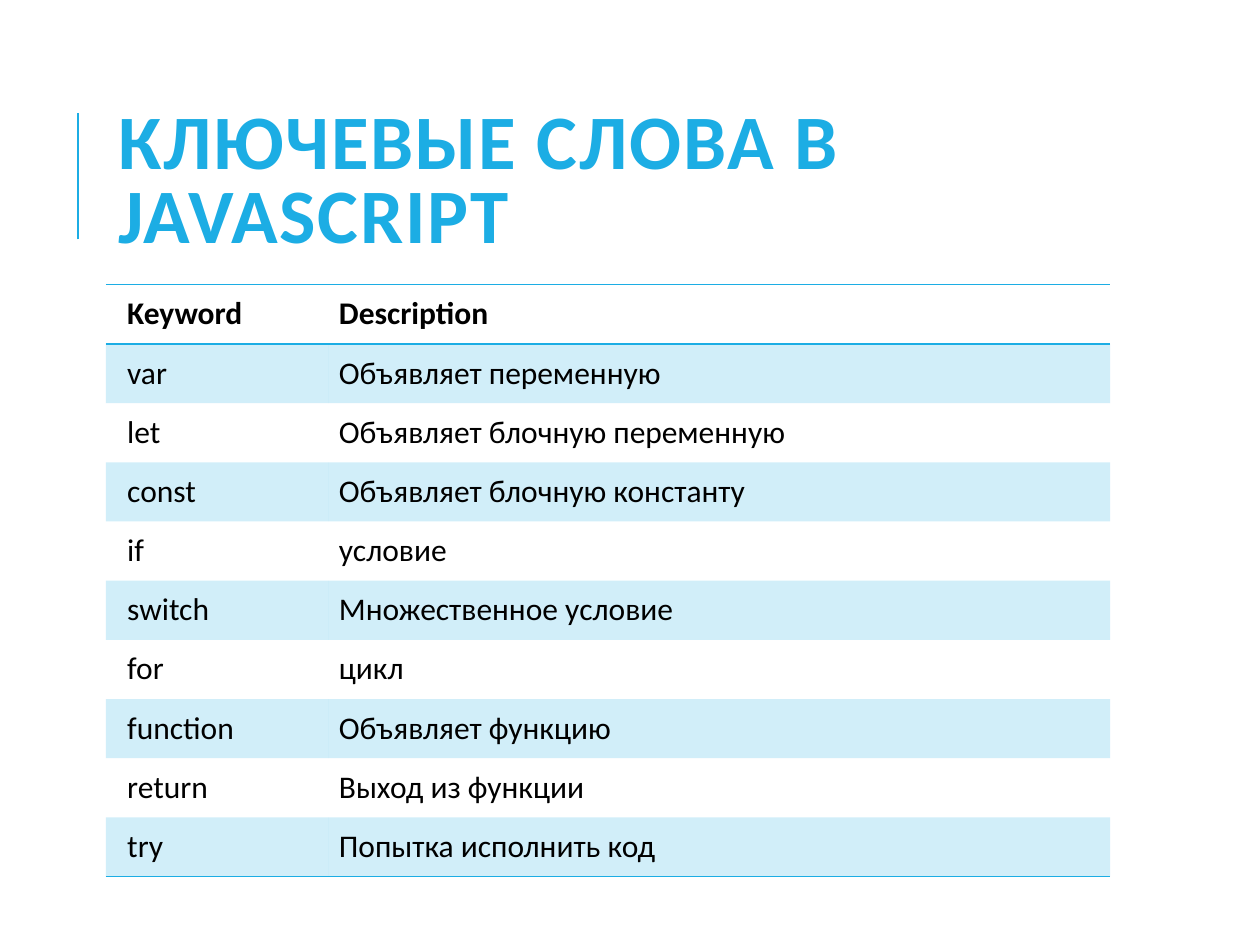
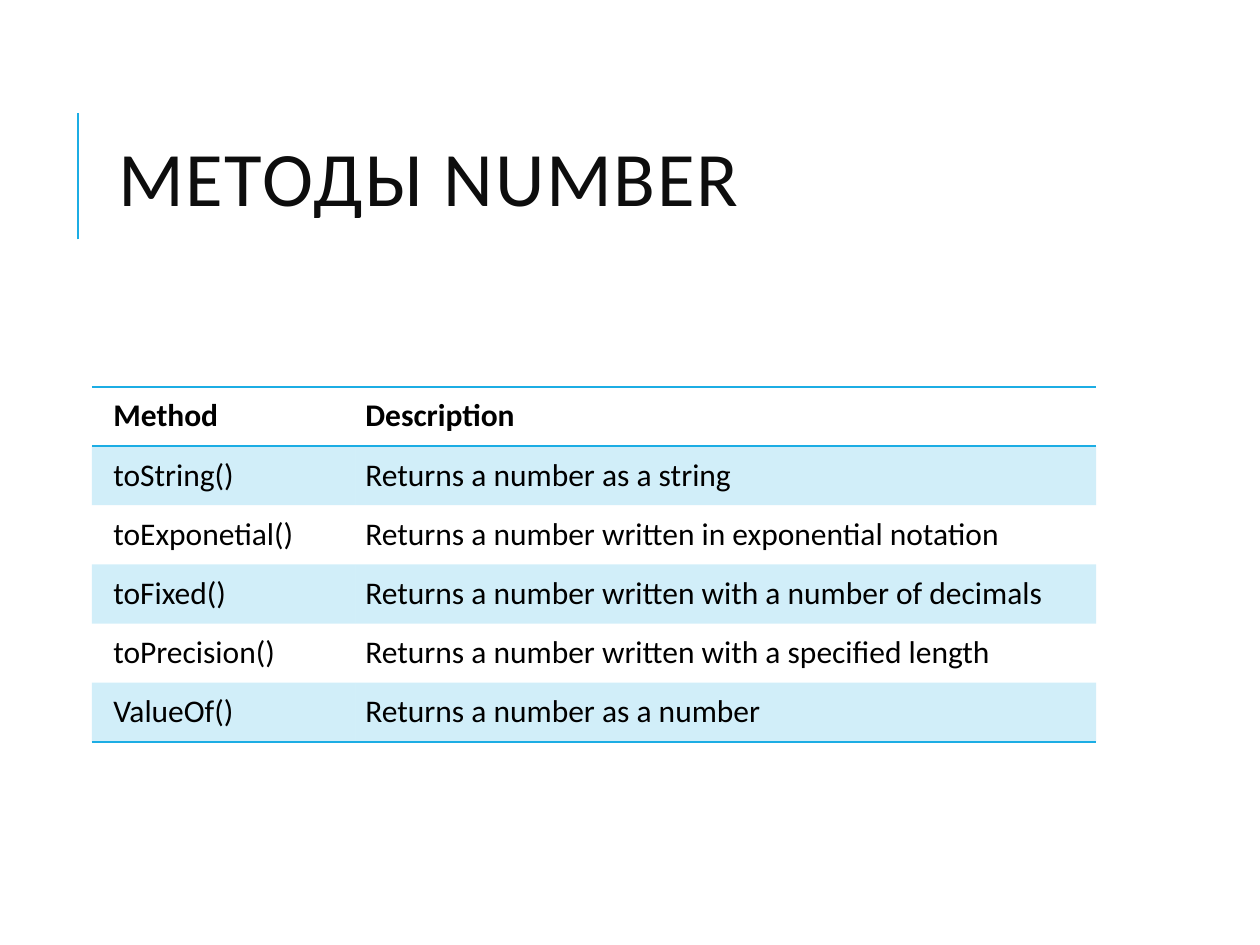
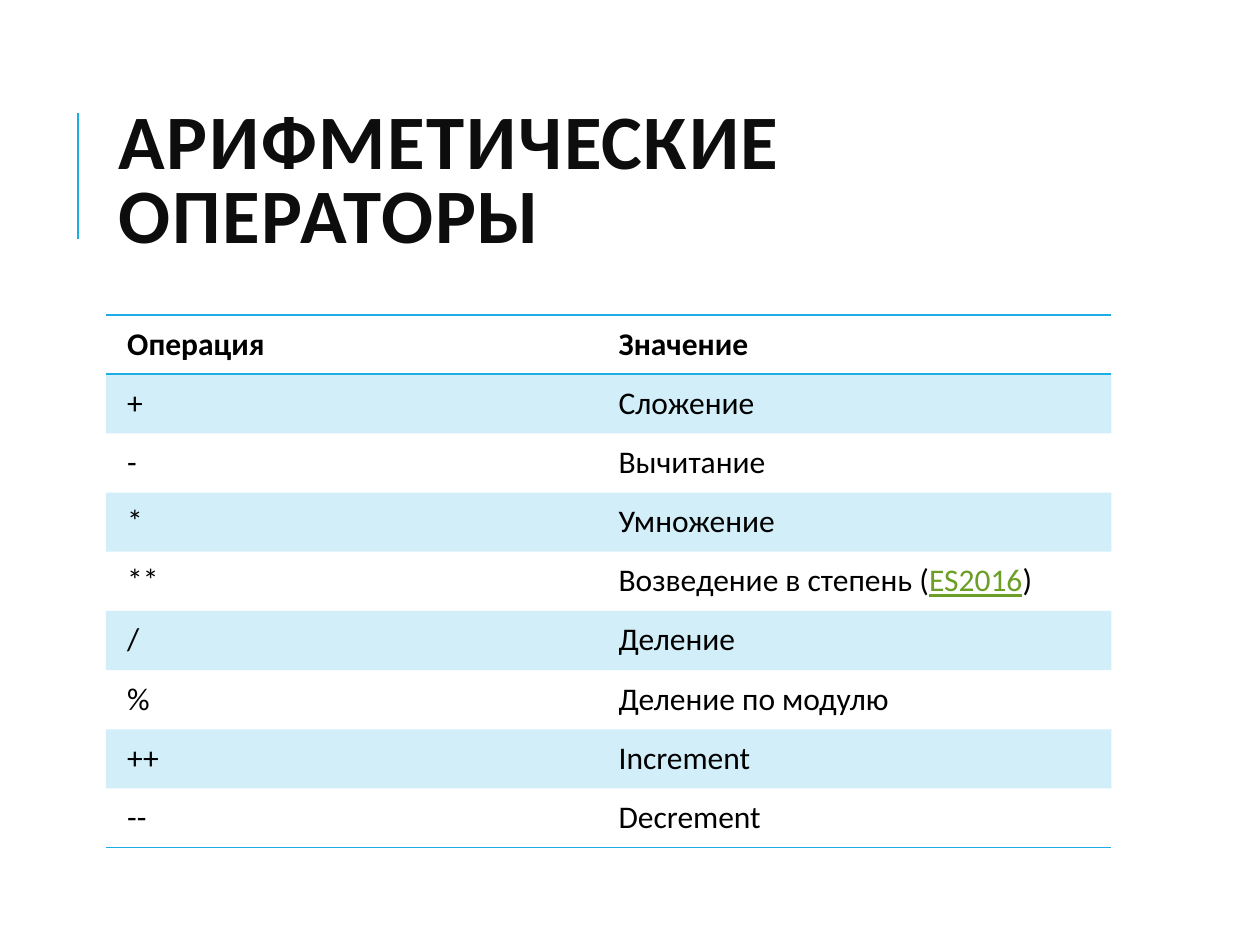
from dataclasses import dataclass

from lxml import etree
from pptx import Presentation
from pptx import util as u
from pptx.dml.color import RGBColor
from pptx.enum import shapes, text
from pptx.oxml.ns import qn

BLUE = "1CADE4"
DARK = "0D0D0D"
BLACK = "000000"
GREEN = "6B9F25"
FONT = "Calibri"
PLAIN = "{2D5ABB26-0587-4C30-8999-92F81FD0307C}"
ROW = 0.47
PAD = 0.08
INDENT = 0.17
MARK = "|"


@dataclass(frozen=True)
class Page:
    title: str
    left: float
    top: float
    cols: tuple[float, float]
    rows: list[tuple[str, str]]
    color: str = DARK
    bold: bool = True


PAGES = [
    Page("КЛЮЧЕВЫЕ СЛОВА В JAVASCRIPT", 0.84, 2.26, (1.77, 6.2), [
        ("Keyword", "Description"),
        ("var", "Объявляет переменную"),
        ("let", "Объявляет блочную переменную"),
        ("const", "Объявляет блочную константу"),
        ("if", "условие"),
        ("switch", "Множественное условие"),
        ("for", "цикл"),
        ("function", "Объявляет функцию"),
        ("return", "Выход из функции"),
        ("try", "Попытка исполнить код"),
    ], color=BLUE),
    Page("МЕТОДЫ NUMBER", 0.73, 3.07, (2.09, 5.88), [
        ("Method", "Description"),
        ("toString()", "Returns a number as a string"),
        ("toExponetial()", "Returns a number written in exponential notation"),
        ("toFixed()", "Returns a number written with a number of decimals"),
        ("toPrecision()", "Returns a number written with a specified length"),
        ("ValueOf()", "Returns a number as a number"),
    ], bold=False),
    Page("АРИФМЕТИЧЕСКИЕ ОПЕРАТОРЫ", 0.84, 2.5, (3.99, 3.99), [
        ("Операция", "Значение"),
        ("+", "Сложение"),
        ("-", "Вычитание"),
        ("*", "Умножение"),
        ("**", "Возведение в степень (|ES2016|)"),
        ("/", "Деление"),
        ("%", "Деление по модулю"),
        ("++", "Increment"),
        ("--", "Decrement"),
    ]),
]


def rgb(code: str) -> RGBColor:
    return RGBColor.from_string(code)


def write(para, words: str, size: float = 18, color: str = BLACK,
          bold: bool = False, under: bool = False):
    run = para.add_run()
    run.text = words
    font = run.font
    font.name, font.size, font.bold = FONT, u.Pt(size), bold
    font.underline = under
    font.color.rgb = rgb(color)
    return run


def rule(slide) -> None:
    x = u.Inches(0.62)
    line = slide.shapes.add_connector(
        shapes.MSO_CONNECTOR.STRAIGHT, x, u.Inches(1.9), x, u.Inches(0.9))
    line.line.color.rgb = rgb(BLUE)
    line.line.width = u.Pt(1.5)
    etree.SubElement(line.element.spPr, qn("a:effectLst"))


def head(slide, page: Page) -> None:
    box = slide.shapes.title
    box.left, box.top = u.Inches(0.84), u.Inches(0.64)
    box.width, box.height = u.Inches(7.97), u.Inches(1.64)
    frame = box.text_frame
    frame.word_wrap = True
    frame.auto_size = text.MSO_AUTO_SIZE.NONE
    frame.vertical_anchor = text.MSO_ANCHOR.MIDDLE
    para = frame.paragraphs[0]
    para.alignment = text.PP_ALIGN.LEFT
    para.line_spacing = 0.8
    run = write(para, page.title, size=44, color=page.color, bold=page.bold)
    run.font.color.rgb = rgb(page.color)
    para.runs[0].font.size = u.Pt(44)
    for props in box.element.iter(qn("a:rPr")):
        props.set("spc", "100")


def edge(props, side: str) -> None:
    line = etree.SubElement(props, qn(f"a:ln{side}"), w=str(u.Pt(1)))
    fill = etree.SubElement(line, qn("a:solidFill"))
    etree.SubElement(fill, qn("a:srgbClr"), val=BLUE)


def tint(cell, props) -> None:
    cell.fill.solid()
    cell.fill.fore_color.rgb = rgb(BLUE)
    color = props.find(qn("a:solidFill")).find(qn("a:srgbClr"))
    etree.SubElement(color, qn("a:alpha"), val="20000")


def grid(slide, page: Page) -> None:
    count = len(page.rows)
    frame = slide.shapes.add_table(
        count, len(page.cols), u.Inches(page.left), u.Inches(page.top),
        u.Inches(sum(page.cols)), u.Inches(ROW * count))
    table = frame.table
    table.first_row = table.horz_banding = False
    next(frame.element.iter(qn("a:tableStyleId"))).text = PLAIN
    for col, width in zip(table.columns, page.cols):
        col.width = u.Inches(width)
    for row in table.rows:
        row.height = u.Inches(ROW)
    nodes = frame.element.iter(qn("a:tc"))
    for i, row in enumerate(page.rows):
        for j, words in enumerate(row):
            cell = table.cell(i, j)
            cell.margin_left = u.Inches(PAD if j else INDENT)
            cell.margin_right = u.Inches(PAD)
            cell.margin_top = cell.margin_bottom = u.Inches(PAD)
            props = next(nodes).find(qn("a:tcPr"))
            if i == 0:
                edge(props, "T")
            if i in (0, count - 1):
                edge(props, "B")
            if i % 2:
                tint(cell, props)
            else:
                cell.fill.background()
            para = cell.text_frame.paragraphs[0]
            for k, part in enumerate(words.split(MARK)):
                link = k % 2 == 1
                write(para, part, color=GREEN if link else BLACK,
                      bold=i == 0, under=link)


def main() -> None:
    deck = Presentation()
    deck.slide_width, deck.slide_height = u.Inches(10), u.Inches(7.5)
    for page in PAGES:
        slide = deck.slides.add_slide(deck.slide_layouts[5])
        rule(slide)
        head(slide, page)
        grid(slide, page)
    deck.save("out.pptx")


if __name__ == "__main__":
    main()
